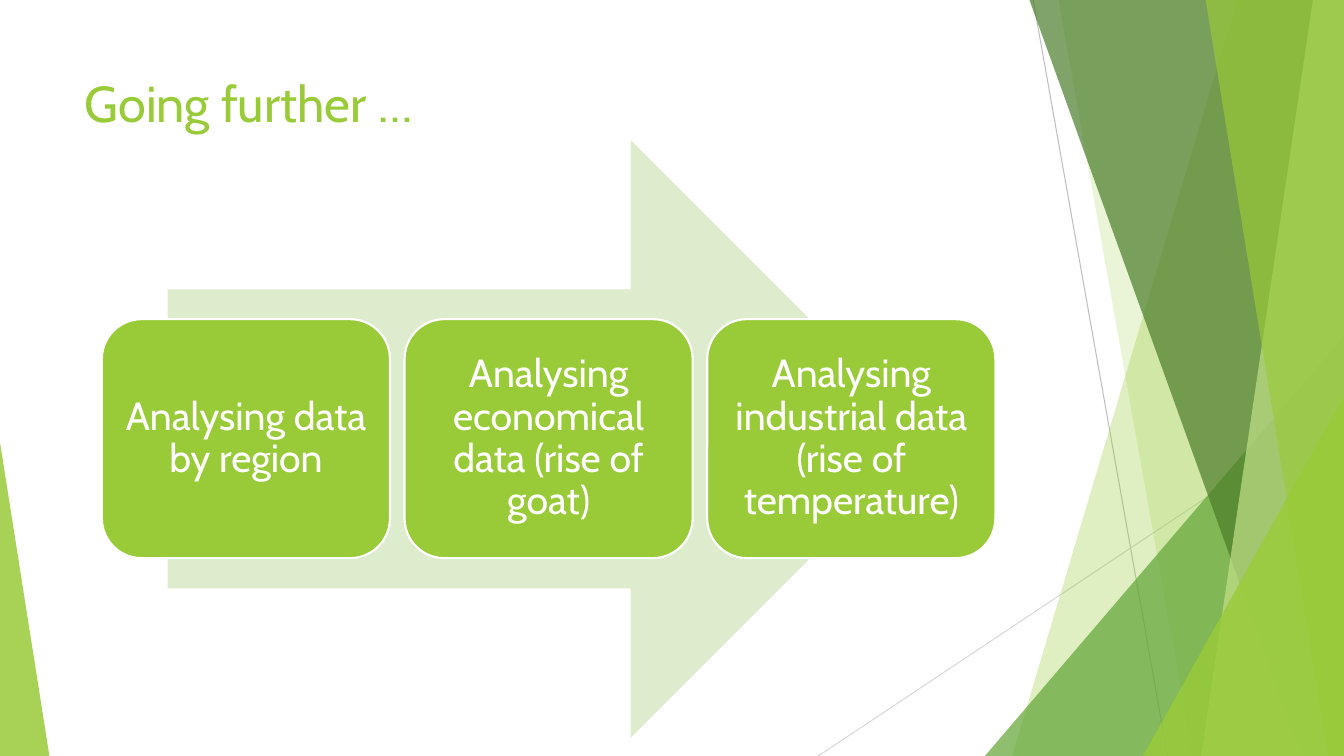
"""Build the "Going further" slide: three analysis steps on an arrow, with a faceted green border."""
from dataclasses import dataclass

from lxml import etree
from pptx import Presentation
from pptx import util as u
from pptx.dml.color import RGBColor
from pptx.enum import shapes, text
from pptx.oxml.ns import qn
from pptx.shapes.autoshape import Shape
from pptx.slide import Slide


@dataclass(frozen=True)
class Theme:
    font: str = "Cabin"
    title_size: float = 36
    step_size: float = 28
    green: str = "99CB38"
    leaf: str = "63A537"
    forest: str = "4A7C29"
    lime: str = "C2E088"
    pale: str = "DEECCE"
    white: str = "FFFFFF"
    grey: str = "BFBFBF"
    light_grey: str = "D9D9D9"


@dataclass(frozen=True)
class Ray:
    start: tuple[float, float]
    end: tuple[float, float]
    color: str


@dataclass(frozen=True)
class Facet:
    top_x: float
    bottom_x: float
    color: str
    opacity: int


@dataclass(frozen=True)
class Corner:
    left: float
    right: float
    top: float
    apex: float
    color: str
    opacity: int


THEME = Theme()
WIDTH, HEIGHT = 960, 540
FACET_TOP = -0.67

RAYS = [
    Ray((738, 0), (834, HEIGHT), THEME.grey),
    Ray((WIDTH, 290), (584.5, HEIGHT), THEME.light_grey),
]
BORDER = [
    Facet(884, 723, THEME.green, 30),
    Facet(756, 851.5, THEME.green, 20),
    Corner(703.5, WIDTH, 240, 1, THEME.leaf, 72),
    Facet(735, 929.5, THEME.forest, 70),
    Facet(938, 858, THEME.lime, 70),
    Facet(861, 949, THEME.green, 65),
    Corner(816.5, WIDTH, 283, 1, THEME.green, 80),
    Corner(0, 35.3, 316, 0, THEME.green, 85),
]
STEPS = [
    "Analysing data by region",
    "Analysing economical data (rise of goat)",
    "Analysing industrial data (rise of temperature)",
]
STEP_LEFT, STEP_TOP, STEP_WIDTH, STEP_HEIGHT = 72.8, 228, 205.8, 170.7
STEP_PITCH = 216.2
STEP_INSET = 8.4


def paint(shape: Shape, color: str, opacity: int = 100) -> None:
    """Give a shape a flat fill without outline or shadow."""
    shape.shadow.inherit = False
    shape.line.fill.background()
    shape.fill.solid()
    shape.fill.fore_color.rgb = RGBColor.from_string(color)
    if opacity < 100:
        fill_color = shape.element.find(f".//{qn('a:srgbClr')}")
        etree.SubElement(fill_color, qn("a:alpha"), val=str(opacity * 1000))


def add_shape(page: Slide, kind: shapes.MSO_SHAPE, left: float, top: float,
              width: float, height: float) -> Shape:
    """Add a preset shape measured in points."""
    return page.shapes.add_shape(kind, u.Pt(left), u.Pt(top), u.Pt(width), u.Pt(height))


def add_ray(page: Slide, ray: Ray) -> None:
    """Draw a thin straight line."""
    ends = [u.Pt(value) for value in (*ray.start, *ray.end)]
    line = page.shapes.add_connector(shapes.MSO_CONNECTOR.STRAIGHT, *ends)
    line.line.color.rgb = RGBColor.from_string(ray.color)
    line.line.width = u.Pt(0.75)
    etree.SubElement(line.element.spPr, qn("a:effectLst"))


def add_facet(page: Slide, facet: Facet) -> None:
    """Draw a translucent band from a slanted edge to the right of the slide."""
    outline = page.shapes.build_freeform(facet.top_x, FACET_TOP, scale=u.Pt(1))
    outline.add_line_segments(
        [(WIDTH, FACET_TOP), (WIDTH, HEIGHT), (facet.bottom_x, HEIGHT)], close=True)
    paint(outline.convert_to_shape(), facet.color, facet.opacity)


def add_corner(page: Slide, corner: Corner) -> None:
    """Draw a translucent right triangle standing on the bottom edge."""
    shape = add_shape(page, shapes.MSO_SHAPE.ISOSCELES_TRIANGLE, corner.left, corner.top,
                      corner.right - corner.left, HEIGHT - corner.top)
    shape.adjustments[0] = corner.apex
    paint(shape, corner.color, corner.opacity)


def write(shape: Shape, words: str, size: float, color: str,
          align: text.PP_ALIGN, anchor: text.MSO_ANCHOR) -> None:
    """Set and format the text of a shape."""
    frame = shape.text_frame
    frame.text = words
    frame.word_wrap = True
    frame.auto_size = text.MSO_AUTO_SIZE.NONE
    frame.vertical_anchor = anchor
    para = frame.paragraphs[0]
    para.alignment = align
    for span in para.runs:
        span.font.name = THEME.font
        span.font.size = u.Pt(size)
        span.font.color.rgb = RGBColor.from_string(color)


def add_title(page: Slide, words: str) -> None:
    """Place and format the title placeholder."""
    title = page.shapes.title
    title.left, title.top = u.Pt(53.3), u.Pt(48)
    title.width, title.height = u.Pt(677), u.Pt(104)
    write(title, words, THEME.title_size, THEME.green,
          text.PP_ALIGN.LEFT, text.MSO_ANCHOR.TOP)


def add_step(page: Slide, index: int, words: str) -> None:
    """Draw one rounded step box."""
    box = add_shape(page, shapes.MSO_SHAPE.ROUNDED_RECTANGLE,
                    STEP_LEFT + index * STEP_PITCH, STEP_TOP, STEP_WIDTH, STEP_HEIGHT)
    paint(box, THEME.green)
    box.line.color.rgb = RGBColor.from_string(THEME.white)
    box.line.width = u.Pt(1.5)
    write(box, words, THEME.step_size, THEME.white,
          text.PP_ALIGN.CENTER, text.MSO_ANCHOR.MIDDLE)
    frame = box.text_frame
    frame.margin_left = frame.margin_right = u.Pt(STEP_INSET)
    frame.margin_top = frame.margin_bottom = u.Pt(STEP_INSET)
    frame.paragraphs[0].line_spacing = 0.9


def main() -> None:
    """Build and save the deck."""
    deck = Presentation()
    deck.slide_width, deck.slide_height = u.Pt(WIDTH), u.Pt(HEIGHT)
    page = deck.slides.add_slide(deck.slide_layouts.get_by_name("Title Only"))
    for ray in RAYS:
        add_ray(page, ray)
    for piece in BORDER:
        if isinstance(piece, Facet):
            add_facet(page, piece)
        else:
            add_corner(page, piece)
    add_title(page, "Going further …")
    arrow = add_shape(page, shapes.MSO_SHAPE.RIGHT_ARROW, 119.7, 100, 544.3, 427)
    paint(arrow, THEME.pale)
    for index, words in enumerate(STEPS):
        add_step(page, index, words)
    deck.save("out.pptx")


if __name__ == "__main__":
    main()
